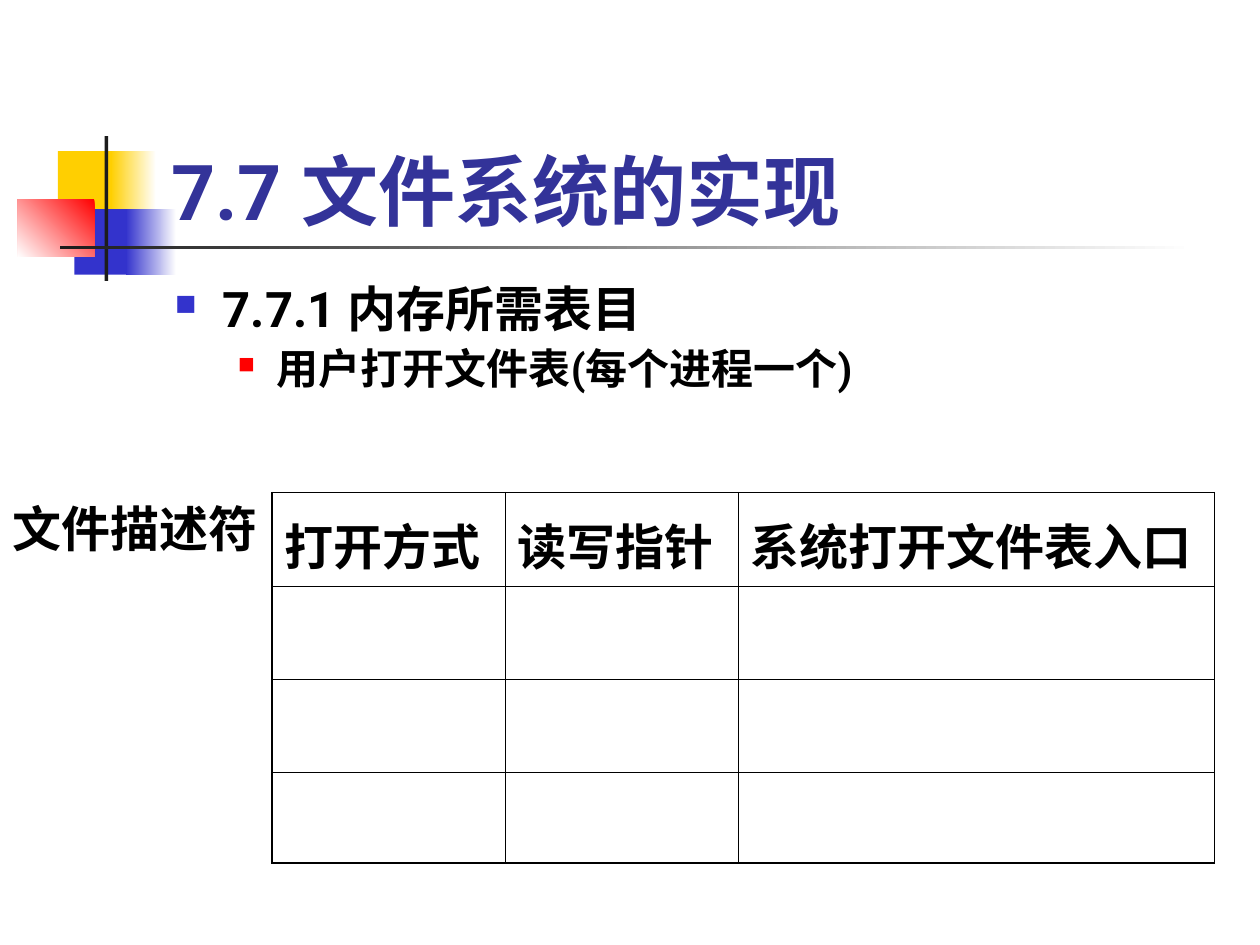
"""Build the slide on the open file table kept in memory."""
from lxml import etree
from pptx import Presentation
from pptx.dml.color import RGBColor
from pptx.enum.shapes import MSO_SHAPE
from pptx.enum.text import MSO_ANCHOR, PP_ALIGN
from pptx.oxml.ns import qn
from pptx.util import Inches, Pt

RECT = MSO_SHAPE.RECTANGLE
BOTTOM = MSO_ANCHOR.BOTTOM
LEFT = PP_ALIGN.LEFT


def rgb(code):
    return RGBColor.from_string(code)


def write(para, text, size=28, color="000000"):
    para.text = text
    para.alignment = LEFT
    font = para.font
    font.name, font.size, font.bold = "Roboto", Pt(size), True
    font.color.rgb = rgb(color)


prs = Presentation()
prs.slide_width, prs.slide_height = Inches(10), Inches(7.5)
slide = prs.slides.add_slide(prs.slide_layouts[5])
shapes = slide.shapes

decor = [
    (0.46, 1.2, 0.48, 0.52, ["FFCF01"], 0),
    (0.88, 1.2, 0.36, 0.52, ["FFFFFF", "FFCF01"], 180),
    (0.59, 1.66, 0.46, 0.52, ["3333CC"], 0),
    (1, 1.66, 0.4, 0.52, ["FFFFFF", "3333CC"], 180),
    (0.14, 1.58, 0.61, 0.46, ["FF0000", "FFFFFF"], 225),
    (0.83, 1.08, 0.03, 1.15, ["1C1C1C"], 0),
    (0.48, 1.95, 9, 0.03, ["FFFFFF", "1C1C1C"], 180),
]
for *place, colors, angle in decor:
    block = shapes.add_shape(RECT, *map(Inches, place))
    block.shadow.inherit = False
    block.line.fill.background()
    if len(colors) == 1:
        block.fill.solid()
        block.fill.fore_color.rgb = rgb(colors[0])
    else:
        block.fill.gradient()
        block.fill.gradient_angle = angle
        for stop, color in zip(block.fill.gradient_stops, colors):
            stop.color.rgb = rgb(color)

title = shapes.title
title.left, title.top = Inches(1.26), Inches(0.67)
title.width, title.height = Inches(8.52), Inches(1.25)
title.text_frame.vertical_anchor = BOTTOM
title.text_frame.word_wrap = True
write(title.text_frame.paragraphs[0], "7.7 文件系统的实现", size=44, color="333399")
tree = title.element.getparent()
tree.append(title.element)

body = shapes.add_textbox(Inches(1.29), Inches(2.21), Inches(7.96), Inches(0.99)).text_frame
body.word_wrap = True
items = [
    ("7.7.1 内存所需表目", 28, 0.38, 0.38, "3333CC", 60),
    ("用户打开文件表(每个进程一个)", 24, 0.81, 0.31, "FF0000", 55),
]
for level, (text, size, indent, hang, color, scale) in enumerate(items):
    para = body.add_paragraph() if level else body.paragraphs[0]
    para.level = level
    para.line_spacing = 0.9
    if level:
        para.space_before = Pt(6)
    props = para._p.get_or_add_pPr()
    props.set("marL", str(Inches(indent)))
    props.set("indent", str(-Inches(hang)))
    tint = etree.SubElement(props, qn("a:buClr"))
    etree.SubElement(tint, qn("a:srgbClr"), val=color)
    etree.SubElement(props, qn("a:buSzPct"), val=str(scale * 1000))
    etree.SubElement(props, qn("a:buChar"), char="■")
    write(para, text, size=size)

heads = ["打开方式", "读写指针", "系统打开文件表入口"]
widths = [1.85, 1.85, 3.78]
heights = [0.74, 0.74, 0.74, 0.72]
frame = shapes.add_table(4, 3, Inches(2.16), Inches(3.91), Inches(7.48), Inches(2.94))
table = frame.table
table.first_row = table.horz_banding = False
for col, width in zip(table.columns, widths):
    col.width = Inches(width)
for row, height in zip(table.rows, heights):
    row.height = Inches(height)
for r in range(4):
    for c in range(3):
        cell = table.cell(r, c)
        cell.fill.background()
        if r == 0:
            cell.margin_top = Inches(0.13)
            write(cell.text_frame.paragraphs[0], heads[c])
        edges = {"L": c == 0, "R": c == 2, "T": r == 0, "B": r == 3}
        props = cell._tc.get_or_add_tcPr()
        for spot, (side, outer) in enumerate(edges.items()):
            line = etree.Element(qn(f"a:ln{side}"), w=str(Pt(1.08 if outer else 0.45)))
            fill = etree.SubElement(line, qn("a:solidFill"))
            etree.SubElement(fill, qn("a:srgbClr"), val="000000")
            props.insert(spot, line)

label = shapes.add_textbox(Inches(0), Inches(3.91), Inches(2.16), Inches(0.57)).text_frame
label.word_wrap = True
write(label.paragraphs[0], "文件描述符")

prs.save("out.pptx")
